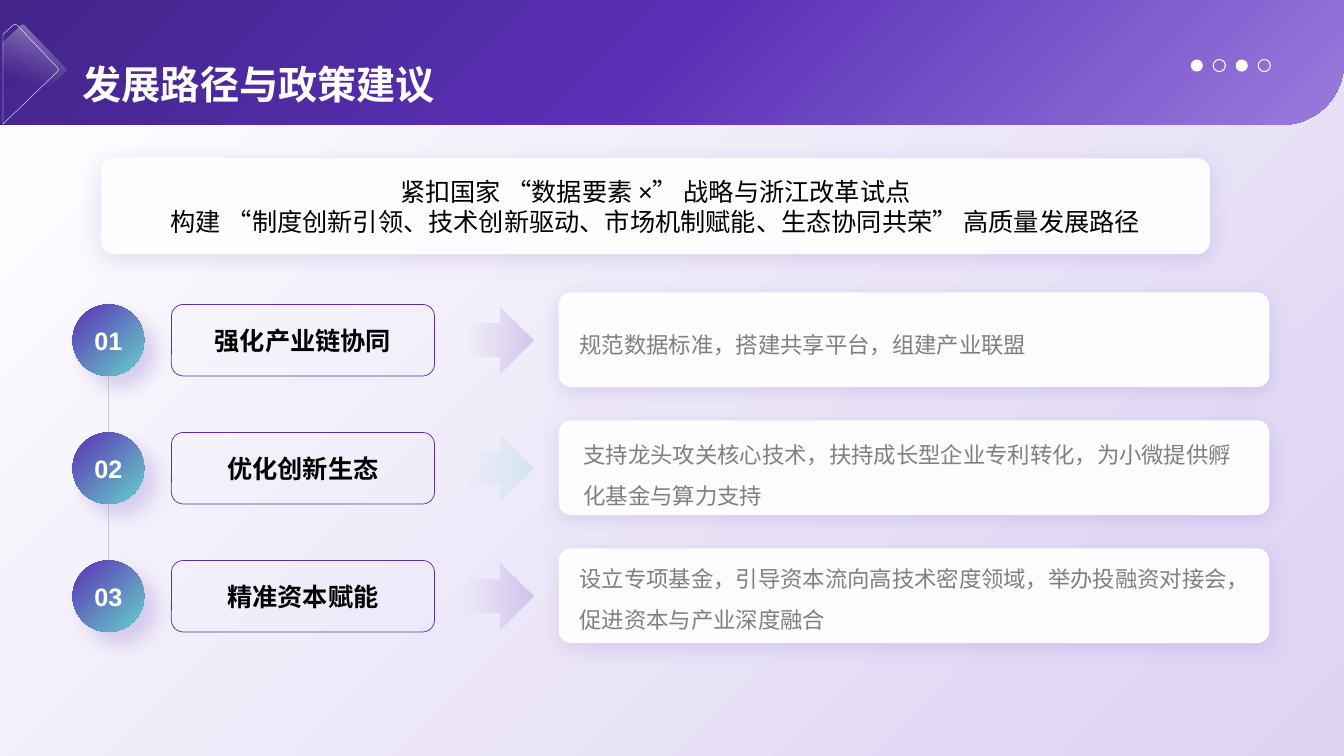
from lxml.etree import SubElement
from pptx import Presentation
from pptx.dml.color import RGBColor
from pptx.enum.shapes import MSO_CONNECTOR, MSO_SHAPE
from pptx.enum.text import MSO_ANCHOR, PP_ALIGN
from pptx.oxml.ns import qn
from pptx.util import Inches, Pt

TITLE = "发展路径与政策建议"
SUMMARY = [
    "紧扣国家 “数据要素 ×” 战略与浙江改革试点",
    "构建 “制度创新引领、技术创新驱动、市场机制赋能、生态协同共荣” 高质量发展路径",
]
STEPS = [
    ("强化产业链协同", "规范数据标准，搭建共享平台，组建产业联盟",
     "violet", (5.65, 2.98, 6.71, 0.75)),
    ("优化创新生态", "支持龙头攻关核心技术，扶持成长型企业专利转化，为小微提供孵化基金与算力支持",
     "teal", (5.69, 4.25, 6.71, 0.79)),
    ("精准资本赋能", "设立专项基金，引导资本流向高技术密度领域，举办投融资对接会，促进资本与产业深度融合",
     "violet", (5.65, 5.48, 6.71, 0.79)),
]
COLORS = {
    "violet": "5A30B7", "teal": "66D3CA", "white": "FFFFFF", "black": "000000",
    "gray": "808080", "mist": "DDD3F3", "lilac": "997ADC", "dark": "432489",
}
GLOW = [(0.21, 0.25), (0.23, 0.24), (0.25, 0.25), (0.65, 0.67), (0.66, 0.69),
        (0.65, 0.71), (0.1, 1.23), (0.08, 1.24), (0.06, 1.23), (0.03, 1.2),
        (0.03, 0.42)]
EDGE = [(0.13, 0.25), (0.15, 0.24), (0.17, 0.25), (0.57, 0.67), (0.58, 0.69),
        (0.57, 0.71), (0.03, 1.23), (0.03, 0.34)]
TOP, STEP, SIDE = 3.02, 1.27, 0.71


def color(name):
    return RGBColor.from_string(COLORS[name])


def tint(node, name, alpha):
    tone = SubElement(node, qn("a:srgbClr"), val=COLORS[name])
    SubElement(tone, qn("a:alpha"), val=str(alpha * 1000))


def blend(fill, props, stops, angle=None):
    fill.background()
    old = props.find(qn("a:noFill"))
    grad = SubElement(props, qn("a:gradFill"), rotWithShape="1")
    props.replace(old, grad)
    marks = SubElement(grad, qn("a:gsLst"))
    for pos, name, alpha in stops:
        tint(SubElement(marks, qn("a:gs"), pos=str(pos * 1000)), name, alpha)
    if angle is None:
        round_ = SubElement(grad, qn("a:path"), path="circle")
        SubElement(round_, qn("a:fillToRect"), l="100000", t="100000")
    else:
        SubElement(grad, qn("a:lin"), ang=str(angle * 60000), scaled="0")


def style(item, fill=None, line=None, width=0.75, stops=None, angle=None):
    item.shadow.inherit = False
    if stops:
        blend(item.fill, item.element.spPr, stops, angle)
    elif fill:
        item.fill.solid()
        item.fill.fore_color.rgb = color(fill)
    else:
        item.fill.background()
    if line:
        item.line.color.rgb = color(line)
        item.line.width = Pt(width)
    else:
        item.line.fill.background()
    return item


def shape(kind, box, adj=None, **looks):
    item = slide.shapes.add_shape(kind, *map(Inches, box))
    if adj is not None:
        item.adjustments[0] = adj
    return style(item, **looks)


def shade(item, alpha, blur, dist, angle):
    cast = SubElement(item.element.spPr.find(qn("a:effectLst")), qn("a:outerShdw"),
                      blurRad=str(Pt(blur)), dist=str(Pt(dist)),
                      dir=str(angle * 60000), algn="ctr", rotWithShape="0")
    tint(cast, "violet", alpha)


def card(box):
    item = shape(MSO_SHAPE.ROUNDED_RECTANGLE, box, adj=0.132, fill="white")
    tone = item.element.spPr.find(qn("a:solidFill")).find(qn("a:srgbClr"))
    SubElement(tone, qn("a:alpha"), val="95000")
    shade(item, 15, 15, 3, 90)
    return item


def outline(points, **looks):
    first, *rest = [(Inches(x), Inches(y)) for x, y in points]
    path = slide.shapes.build_freeform(*first)
    path.add_line_segments(rest, close=True)
    return style(path.convert_to_shape(), **looks)


def write(item, *lines, size=18, tone="black", bold=False, align=PP_ALIGN.CENTER,
          anchor=MSO_ANCHOR.MIDDLE, space=None, inset=None):
    frame = item.text_frame
    frame.word_wrap = True
    frame.vertical_anchor = anchor
    if inset is not None:
        frame.margin_left = frame.margin_right = Inches(inset)
        frame.margin_top = frame.margin_bottom = Inches(inset)
    for i, line in enumerate(lines):
        para = frame.add_paragraph() if i else frame.paragraphs[0]
        para.alignment = align
        if space:
            para.line_spacing = space
        run = para.add_run()
        run.text = line
        run.font.name = "Arial"
        run.font.size = Pt(size)
        run.font.bold = bold
        run.font.color.rgb = color(tone)


deck = Presentation()
deck.slide_width, deck.slide_height = Inches(13.33), Inches(7.5)
slide = deck.slides.add_slide(deck.slide_layouts[5])

ground = slide.background.fill
ground.background()
blend(ground, slide.element.find(".//" + qn("p:bgPr")),
      [(0, "white", 100), (100, "mist", 100)], 45)

banner = shape(MSO_SHAPE.ROUND_1_RECTANGLE, (0, 0, 13.33, 1.24), adj=0.5,
               stops=[(0, "lilac", 100), (51, "violet", 100), (100, "dark", 100)])
banner.element.spPr.find(qn("a:xfrm")).set("flipV", "1")
for i in range(4):
    looks = {"line": "white"} if i % 2 else {"fill": "white"}
    shape(MSO_SHAPE.OVAL, (11.81 + i * 0.223, 0.59, 0.12, 0.12), **looks)
outline(GLOW, stops=[(0, "white", 45), (58, "mist", 0)], angle=110)
outline(EDGE, line="white", width=0.25)

mid = Inches(0.72 + SIDE / 2)
rail = slide.shapes.add_connector(MSO_CONNECTOR.STRAIGHT, mid, Inches(TOP + SIDE),
                                  mid, Inches(TOP + 2 * STEP + SIDE))
rail.line.color.rgb = color("gray")
rail.line.width = Pt(0.5)
SubElement(rail.element.spPr.find(".//" + qn("a:srgbClr")), qn("a:alpha"), val="50000")
SubElement(rail.element.spPr, qn("a:effectLst"))

for i, (head, body, hue, box) in enumerate(STEPS):
    top = TOP + i * STEP
    label = shape(MSO_SHAPE.ROUNDED_RECTANGLE, (1.7, top, 2.61, SIDE),
                  line="violet", width=0.53)
    write(label, head, bold=True)
    card((5.54, top - 0.12, 7.05, 0.94))
    note = slide.shapes.add_textbox(*map(Inches, box))
    write(note, body, size=16, tone="gray", align=PP_ALIGN.LEFT, space=1.5)
    badge = shape(MSO_SHAPE.OVAL, (0.72, top, SIDE, SIDE),
                  stops=[(0, "violet", 100), (100, "teal", 100)], angle=45)
    shade(badge, 20, 14, 12, 45)
    write(badge, f"{i + 1:02}", tone="white", bold=True, inset=0)
    shape(MSO_SHAPE.RIGHT_ARROW, (4.62, top + 0.02, 0.67, 0.67),
          stops=[(0, hue, 20), (100, hue, 0)], angle=180)

title = slide.shapes.title
title.left, title.top, title.width, title.height = map(Inches, (0.72, 0.14, 11.88, 0.98))
write(title, TITLE, size=28, tone="white", bold=True, align=PP_ALIGN.LEFT,
      anchor=MSO_ANCHOR.BOTTOM)
title.element.getparent().append(title.element)

write(card((1, 1.57, 11, 0.95)), *SUMMARY)

deck.save("out.pptx")
